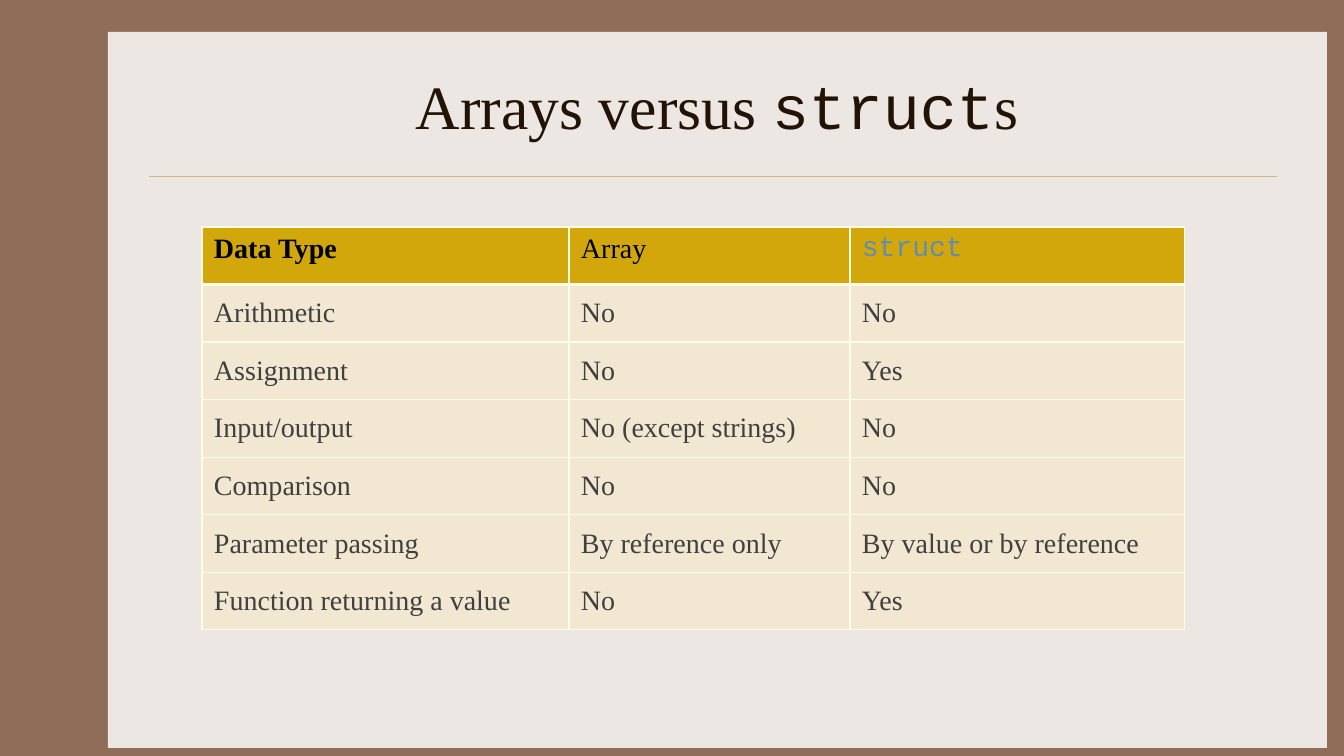
import lxml.etree
import pptx
import pptx.dml.color
import pptx.enum.shapes
import pptx.enum.text
import pptx.oxml.ns
import pptx.util

RGBColor = pptx.dml.color.RGBColor
BROWN = RGBColor(0x90, 0x6D, 0x58)
PAPER = RGBColor(0xED, 0xE7, 0xE3)
RULE = RGBColor(0xCB, 0xBD, 0x83)
TITLE = RGBColor(0x22, 0x13, 0x04)
GOLD = RGBColor(0xD1, 0xA7, 0x0C)
CREAM = RGBColor(0xF2, 0xE7, 0xD0)
BORDER = RGBColor(0xFE, 0xFD, 0xE3)
BLACK = RGBColor(0, 0, 0)
GRAY = RGBColor(0x40, 0x40, 0x40)
BLUE = RGBColor(0x63, 0x8D, 0xAD)

SERIF = "Times New Roman"
MONO = "Courier New"

ROWS = [
    ("Data Type", "Array", "struct"),
    ("Arithmetic", "No", "No"),
    ("Assignment", "No", "Yes"),
    ("Input/output", "No (except strings)", "No"),
    ("Comparison", "No", "No"),
    ("Parameter passing", "By reference only", "By value or by reference"),
    ("Function returning a value", "No", "Yes"),
]
COLUMN_WIDTHS = (367, 281, 335)


def px(length):
    return pptx.util.Emu(round(length * 914400 / 100.8))


def style_run(run, size, color, font=SERIF, bold=False):
    run.font.size = pptx.util.Pt(size)
    run.font.color.rgb = color
    run.font.name = font
    run.font.bold = bold


def set_borders(cell, bottom_width):
    """Draw all four sides of a cell, the bottom one at its own width."""
    properties = cell._tc.get_or_add_tcPr()
    widths = {"a:lnL": 1, "a:lnR": 1, "a:lnT": 1, "a:lnB": bottom_width}
    for index, (tag, width) in enumerate(widths.items()):
        line = lxml.etree.Element(pptx.oxml.ns.qn(tag), w=str(pptx.util.Pt(width)))
        fill = lxml.etree.SubElement(line, pptx.oxml.ns.qn("a:solidFill"))
        lxml.etree.SubElement(fill, pptx.oxml.ns.qn("a:srgbClr"), val=str(BORDER))
        properties.insert(index, line)


class SlideBuilder:
    def __init__(self, presentation, background):
        self.slide = presentation.slides.add_slide(presentation.slide_layouts[5])
        self.slide.background.fill.solid()
        self.slide.background.fill.fore_color.rgb = background

    def send_behind_title(self, shape):
        self.slide.shapes.title.element.addprevious(shape.element)

    def panel(self, left, top, width, height, color):
        shape = self.slide.shapes.add_shape(
            pptx.enum.shapes.MSO_SHAPE.RECTANGLE, px(left), px(top), px(width), px(height))
        shape.shadow.inherit = False
        shape.fill.solid()
        shape.fill.fore_color.rgb = color
        shape.line.fill.background()
        self.send_behind_title(shape)

    def rule(self, left, right, y, color):
        connector = self.slide.shapes.add_connector(
            pptx.enum.shapes.MSO_CONNECTOR.STRAIGHT, px(left), px(y), px(right), px(y))
        connector.line.color.rgb = color
        connector.line.width = pptx.util.Pt(0.25)
        properties = connector.element.spPr
        lxml.etree.SubElement(properties, pptx.oxml.ns.qn("a:effectLst"))
        self.send_behind_title(connector)

    def title(self, left, top, width, height, parts):
        """Fill the title with (text, font) parts."""
        shape = self.slide.shapes.title
        shape.left, shape.top = px(left), px(top)
        shape.width, shape.height = px(width), px(height)
        frame = shape.text_frame
        frame.word_wrap = True
        frame.auto_size = pptx.enum.text.MSO_AUTO_SIZE.NONE
        frame.vertical_anchor = pptx.enum.text.MSO_ANCHOR.MIDDLE
        paragraph = frame.paragraphs[0]
        paragraph.alignment = pptx.enum.text.PP_ALIGN.CENTER
        for text, font in parts:
            run = paragraph.add_run()
            run.text = text
            style_run(run, 44, TITLE, font)

    def table(self, left, top, height, widths, rows):
        frame = self.slide.shapes.add_table(
            len(rows), len(widths), px(left), px(top), px(sum(widths)), px(height))
        table = frame.table
        table.first_row = False
        table.horz_banding = False
        for column, width in zip(table.columns, widths):
            column.width = px(width)
        for row, texts in enumerate(rows):
            for column, text in enumerate(texts):
                self.cell(table.cell(row, column), text, row == 0, column == 0)

    def cell(self, cell, text, is_header, is_first):
        cell.text_frame.text = text
        cell.margin_left = cell.margin_right = px(12)
        cell.margin_top = cell.margin_bottom = px(6)
        anchors = pptx.enum.text.MSO_ANCHOR
        cell.vertical_anchor = anchors.TOP if is_header else anchors.MIDDLE
        cell.fill.solid()
        cell.fill.fore_color.rgb = GOLD if is_header else CREAM
        set_borders(cell, 3 if is_header else 1)
        run = cell.text_frame.paragraphs[0].runs[0]
        if text == "struct":
            style_run(run, 20, BLUE, MONO)
        else:
            style_run(run, 20, BLACK if is_header else GRAY, bold=is_header and is_first)


def main():
    presentation = pptx.Presentation()
    presentation.slide_width, presentation.slide_height = px(1344), px(756)
    builder = SlideBuilder(presentation, BROWN)
    builder.panel(108, 32, 1219, 716, PAPER)
    builder.rule(149, 1277, 176, RULE)
    builder.title(157, 42, 1120, 126,
                  [("Arrays versus ", SERIF), ("struct", MONO), ("s", SERIF)])
    builder.table(202, 227, 403, COLUMN_WIDTHS, ROWS)
    presentation.save("out.pptx")


if __name__ == "__main__":
    main()
